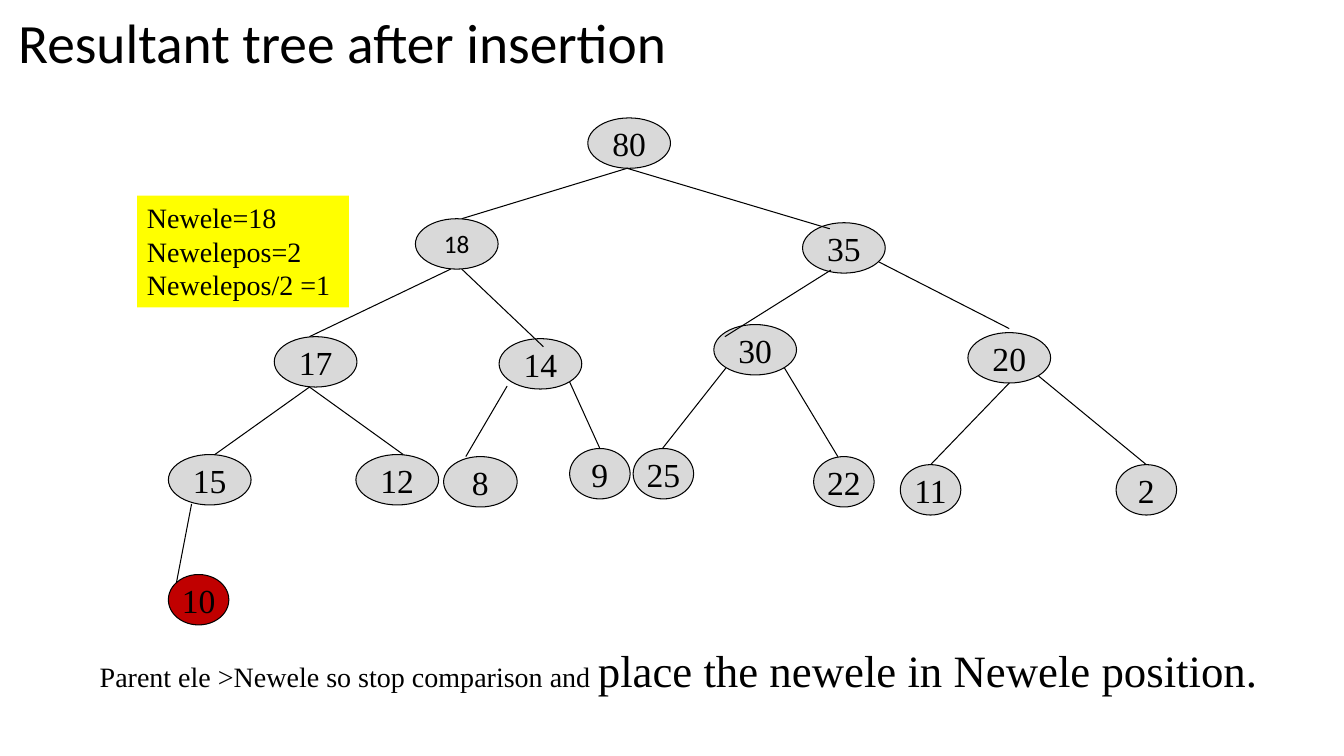
from dataclasses import dataclass

from lxml import etree
from pptx import Presentation
from pptx.dml.color import RGBColor
from pptx.enum.shapes import MSO_CONNECTOR, MSO_SHAPE
from pptx.enum.text import MSO_ANCHOR, PP_ALIGN
from pptx.oxml.ns import qn
from pptx.util import Inches, Pt

OVAL = MSO_SHAPE.OVAL
RECT = MSO_SHAPE.RECTANGLE
LINE = MSO_CONNECTOR.STRAIGHT
LEFT = PP_ALIGN.LEFT
MID = PP_ALIGN.CENTER
CORE = MSO_ANCHOR.MIDDLE


@dataclass(frozen=True)
class Theme:
    ink: RGBColor = RGBColor(0, 0, 0)
    gray: RGBColor = RGBColor(0xD9, 0xD9, 0xD9)
    red: RGBColor = RGBColor(0xC0, 0, 0)
    gold: RGBColor = RGBColor(0xFF, 0xFF, 0)
    sans: str = "Calibri"
    serif: str = "Times New Roman"
    head: float = 39.6
    big: float = 32
    node: float = 24
    body: float = 20
    small: float = 18
    rule: float = 0.75


THEME = Theme()
HIGH = 0.5
WIDE, TRIM, SLIM = 0.82, 0.73, 0.6

NODES = [
    ("80", 4.33, 0.17, WIDE),
    ("18", 2.62, 1.17, WIDE),
    ("17", 1.22, 2.34, WIDE),
    ("35", 6.46, 1.21, WIDE),
    ("14", 3.45, 2.36, WIDE),
    ("30", 5.58, 2.22, WIDE),
    ("20", 8.1, 2.3, WIDE),
    ("15", 0.17, 3.51, WIDE),
    ("12", 2.03, 3.51, WIDE),
    ("8", 2.9, 3.53, TRIM),
    ("9", 4.15, 3.45, SLIM),
    ("10", 0.17, 4.7, SLIM),
    ("2", 9.57, 3.61, SLIM),
    ("11", 7.43, 3.61, SLIM),
    ("22", 6.57, 3.53, SLIM),
    ("25", 4.78, 3.45, SLIM),
]

LINKS = [
    (4.72, 0.67, 3.08, 1.17),
    (4.72, 0.67, 6.73, 1.27),
    (2.97, 1.67, 1.57, 2.34),
    (3.08, 1.67, 3.89, 2.44),
    (6.74, 1.68, 5.69, 2.34),
    (7.22, 1.6, 8.51, 2.26),
    (1.57, 2.84, 0.63, 3.51),
    (1.57, 2.84, 2.5, 3.51),
    (3.53, 2.83, 3.12, 3.53),
    (4.15, 2.79, 4.45, 3.45),
    (5.7, 2.65, 5.07, 3.45),
    (6.28, 2.65, 6.81, 3.53),
    (8.51, 2.8, 7.73, 3.61),
    (8.8, 2.73, 9.87, 3.61),
    (0.4, 4, 0.25, 4.78),
]


def style(run, size, face=THEME.serif):
    run.font.size = Pt(size)
    run.font.name = face
    run.font.color.rgb = THEME.ink


def add_title(slide, box):
    title = slide.shapes.title
    title.left, title.top, title.width, title.height = map(Inches, box)
    frame = title.text_frame
    frame.text = "Resultant tree after insertion"
    frame.word_wrap = True
    frame.vertical_anchor = CORE
    para = frame.paragraphs[0]
    para.alignment = LEFT
    para.line_spacing = 0.9
    style(para.runs[0], THEME.head, THEME.sans)


def add_node(slide, text, x, y, wide):
    node = slide.shapes.add_shape(OVAL, *map(Inches, (x, y, wide, HIGH)))
    node.shadow.inherit = False
    node.fill.solid()
    node.fill.fore_color.rgb = THEME.red if text == "10" else THEME.gray
    node.line.color.rgb = THEME.ink
    node.line.width = Pt(THEME.rule)
    frame = node.text_frame
    frame.text = text
    frame.word_wrap = False
    frame.vertical_anchor = CORE
    para = frame.paragraphs[0]
    para.alignment = MID
    if text == "18":
        style(para.runs[0], THEME.small, THEME.sans)
    else:
        style(para.runs[0], THEME.node)


def add_link(slide, *ends):
    link = slide.shapes.add_connector(LINE, *map(Inches, ends))
    link.line.color.rgb = THEME.ink
    link.line.width = Pt(THEME.rule)
    etree.SubElement(link._element.spPr, qn("a:effectLst"))


def add_tree(slide, box):
    left, top = box[:2]
    for text, x, y, wide in NODES:
        add_node(slide, text, left + x, top + y, wide)
    for x1, y1, x2, y2 in LINKS:
        add_link(slide, left + x1, top + y1, left + x2, top + y2)


def add_note(slide, box):
    note = slide.shapes.add_shape(RECT, *map(Inches, box))
    note.shadow.inherit = False
    note.fill.solid()
    note.fill.fore_color.rgb = THEME.gold
    note.line.fill.background()
    frame = note.text_frame
    frame.text = "Newele=18\nNewelepos=2\nNewelepos/2 =1"
    frame.word_wrap = True
    frame.vertical_anchor = MSO_ANCHOR.TOP
    for para in frame.paragraphs:
        para.alignment = LEFT
        style(para.runs[0], THEME.body)


def add_foot(slide, box):
    frame = slide.shapes.add_textbox(*map(Inches, box)).text_frame
    frame.word_wrap = True
    para = frame.paragraphs[0]
    para.text = "Parent ele >Newele so stop comparison and "
    para.add_run().text = "place the newele in Newele position."
    for run, size in zip(para.runs, (THEME.body, THEME.big)):
        style(run, size)


def main():
    deck = Presentation()
    deck.slide_width, deck.slide_height = Inches(13.33), Inches(7.5)
    slide = deck.slides.add_slide(deck.slide_layouts[5])
    add_title(slide, (0.08, 0.22, 6.8, 0.46))
    add_tree(slide, (1.5, 1, 10.3, 5.3))
    add_note(slide, (1.36, 1.94, 2.1, 1.11))
    add_foot(slide, (0.89, 6.33, 11.98, 0.64))
    deck.save("out.pptx")


if __name__ == "__main__":
    main()
